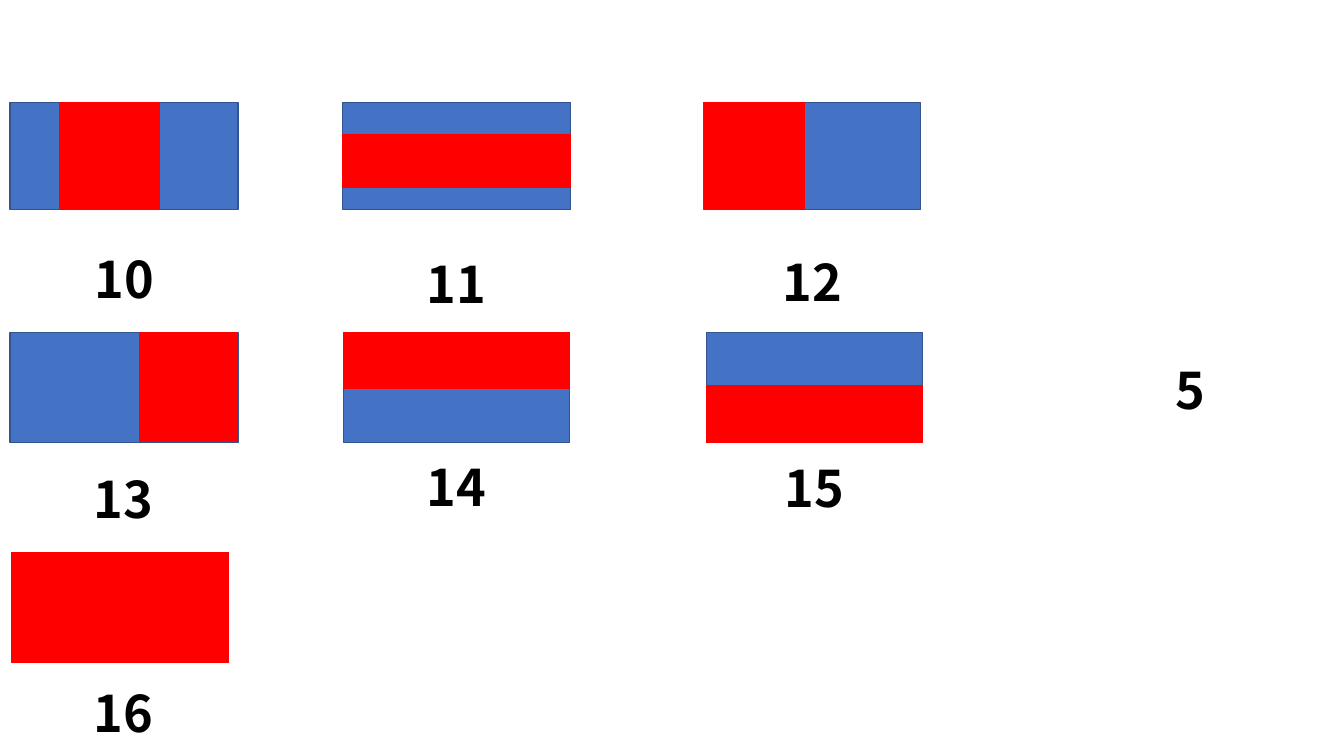
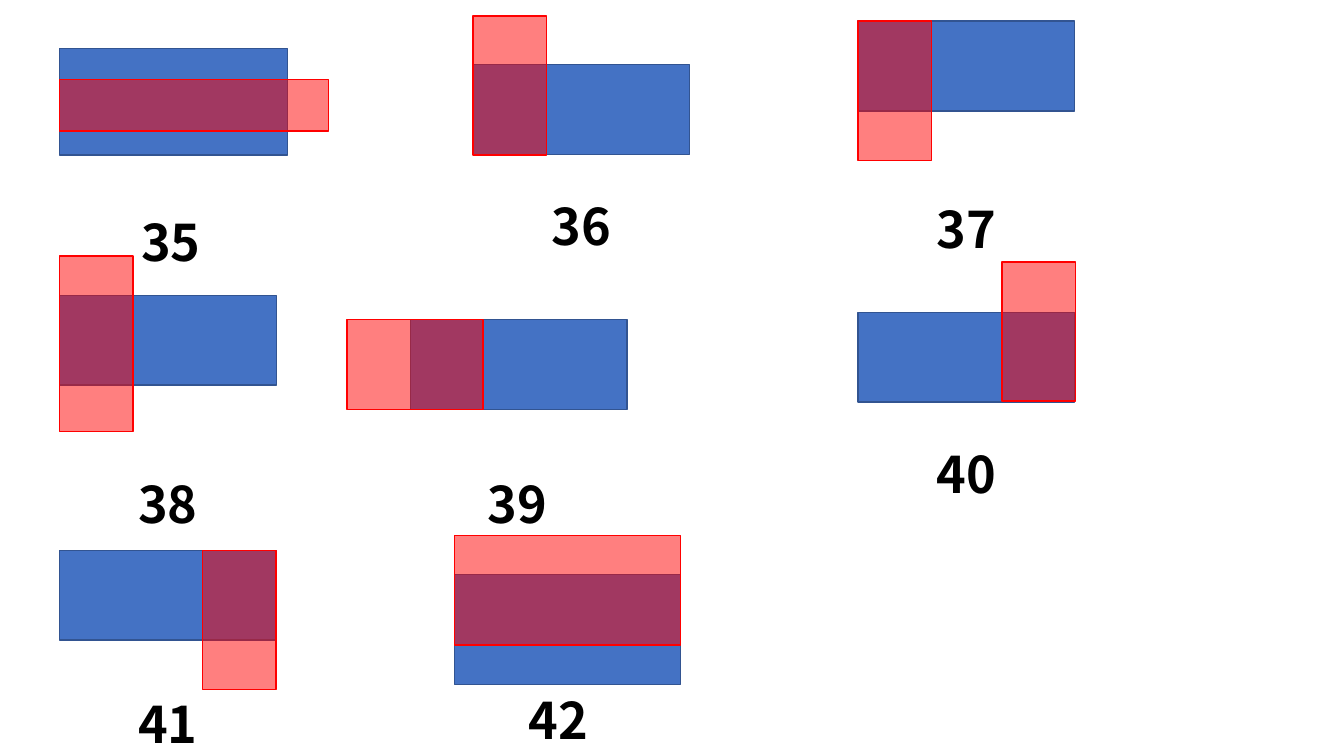
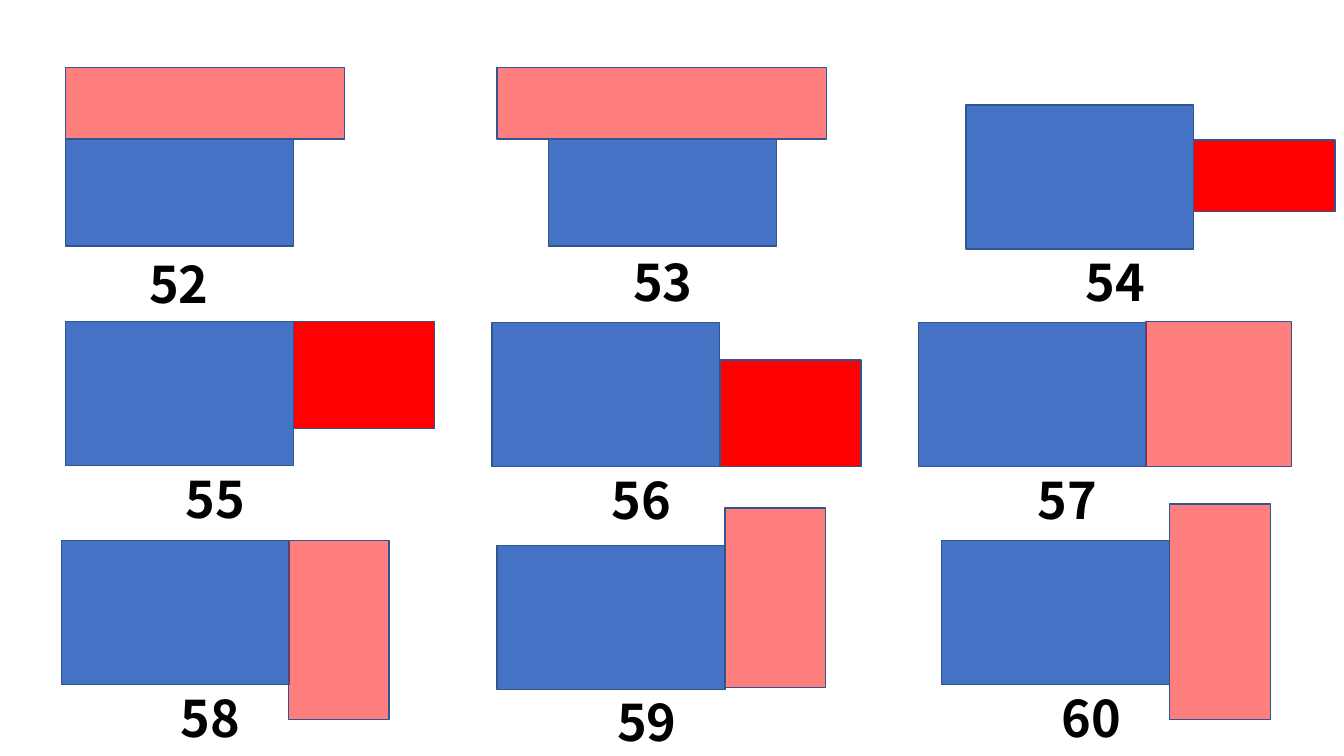
import pptx
import pptx.dml.color
import pptx.enum.shapes
import pptx.enum.text
import pptx.oxml.ns
import pptx.util
import lxml.etree

FONT = "Noto Sans CJK SC"
BLUE, NAVY, RED, BLACK = "4472C4", "325491", "FF0000", "000000"
SOLID, HALF = 100, 50
LABEL_SIZE = (0.97, 0.71)

presentation = pptx.Presentation()
presentation.slide_width = pptx.util.Inches(13.33)
presentation.slide_height = pptx.util.Inches(7.5)
hex_colour = pptx.dml.color.RGBColor.from_string


def add_block(slide, left, top, size, fill, line, opacity=SOLID):
    """Add a filled rectangle; opacity is a percentage."""
    shape = slide.shapes.add_shape(
        pptx.enum.shapes.MSO_SHAPE.RECTANGLE,
        *(pptx.util.Inches(length) for length in (left, top, *size)))
    shape.shadow.inherit = False
    shape.fill.solid()
    shape.fill.fore_color.rgb = hex_colour(fill)
    shape.line.color.rgb = hex_colour(line)
    shape.line.width = pptx.util.Pt(1)
    if opacity < SOLID:
        tag = pptx.oxml.ns.qn("a:srgbClr")
        fill_colour = next(shape.fill._xPr.iter(tag))
        alpha = lxml.etree.SubElement(fill_colour, pptx.oxml.ns.qn("a:alpha"))
        alpha.set("val", str(opacity * 1000))


def add_label(slide, left, top, number):
    """Add a bold centred number."""
    box = slide.shapes.add_textbox(
        *(pptx.util.Inches(length) for length in (left, top, *LABEL_SIZE)))
    frame = box.text_frame
    frame.word_wrap = True
    frame.auto_size = pptx.enum.text.MSO_AUTO_SIZE.SHAPE_TO_FIT_TEXT
    paragraph = frame.paragraphs[0]
    paragraph.alignment = pptx.enum.text.PP_ALIGN.CENTER
    run = paragraph.add_run()
    run.text = str(number)
    run.font.name = FONT
    run.font.size = pptx.util.Pt(36)
    run.font.bold = True
    run.font.color.rgb = hex_colour(BLACK)


# Each figure: nudge from its grid point, blue size, then, measured from the
# blue corner, red offset, red size, red opacity and label offset.
STRIP, CARD, SLAB, BRICK, TALL = (
    (2.26, 1.06), (2.14, 1.09), (2.24, 1.09), (2.15, 0.89), (2.26, 1.43))
POST = (0.73, 1.38)

inside = [
    ((0, 0), STRIP, (0.49, 0), (0.99, 1.06), SOLID, (0.65, 1.39)),
    ((0, 0), STRIP, (0, 0.32), (2.26, 0.52), SOLID, (0.64, 1.44)),
    ((-0.02, 0), (2.15, 1.06), (0.01, 0), (0.99, 1.06), SOLID, (0.59, 1.42)),
    ((0, 0), (2.26, 1.09), (1.29, 0), (0.96, 1.08), SOLID, (0.64, 1.29)),
    ((0.01, 0), SLAB, (0, 0), (2.24, 0.55), SOLID, (0.63, 1.18)),
    ((0.01, 0), CARD, (0, 0.53), (2.14, 0.56), SOLID, (0.58, 1.19)),
    ((0.02, 0), CARD, (0, 0), CARD, SOLID, (0.62, 1.24)),
]
overlapping = [
    ((0, 0), STRIP, (0, 0.31), (2.67, 0.51), HALF, (0.62, 1.56)),
    ((0, 0.16), BRICK, (0, -0.48), POST, HALF, (0.59, 1.25)),
    ((0, -0.27), BRICK, (0, 0), POST, HALF, (0.59, 1.71)),
    ((0, 0), BRICK, (0, -0.39), (0.73, 1.74), HALF, (0.59, 1.71)),
    ((-0.62, 0.24), BRICK, (-0.63, 0), (1.35, 0.89), HALF, (0.58, 1.47)),
    ((0, 0.17), BRICK, (1.43, -0.5), POST, HALF, (0.59, 1.25)),
    ((0, 0), BRICK, (1.42, 0), POST, HALF, (0.59, 1.37)),
    ((-0.18, 0.24), SLAB, (0, -0.39), SLAB, HALF, (0.54, 1.09)),
]
touching = [
    ((0, 0), STRIP, (0, -0.71), (2.77, 0.71), HALF, (0.64, 1.08)),
    ((0.51, 0), STRIP, (-0.51, -0.71), (3.27, 0.71), HALF, (0.65, 1.06)),
    ((0.24, -0.34), TALL, (2.26, 0.35), (1.4, 0.71), SOLID, (1, 1.4)),
    ((0, 0), TALL, (2.26, 0), (1.4, 1.06), SOLID, (1, 1.4)),
    ((-0.05, 0.01), TALL, (2.26, 0.37), (1.4, 1.06), SOLID, (1, 1.4)),
    ((-0.23, 0.01), TALL, (2.25, -0.01), (1.45, 1.44), HALF, (0.99, 1.4)),
    ((-0.04, 0), TALL, (2.25, 0), (1, 1.78), HALF, (0.99, 1.41)),
    ((0, 0.05), TALL, (2.26, -0.37), (1, 1.78), HALF, (1, 1.4)),
    ((0, 0), TALL, (2.26, -0.36), (1, 2.14), HALF, (1, 1.41)),
]

# Each slide: first number, grid columns, grid rows, red outline, figures.
slides = [
    (10, (0.1, 3.4, 7), (1.02, 3.3, 5.48), RED, inside),
    (35, (0.59, 4.69, 8.51), (0.48, 2.93, 5.46), RED, overlapping),
    (52, (0.65, 4.93, 9.34), (1.38, 3.19, 5.36), NAVY, touching),
]

for first, columns, rows, outline, figures in slides:
    slide = presentation.slides.add_slide(presentation.slide_layouts[6])
    for index, figure in enumerate(figures):
        nudge, blue_size, red_offset, red_size, opacity, label_offset = figure
        row, column = divmod(index, len(columns))
        left = columns[column] + nudge[0]
        top = rows[row] + nudge[1]
        add_block(slide, left, top, blue_size, BLUE, NAVY)
        add_block(slide, left + red_offset[0], top + red_offset[1],
                  red_size, RED, outline, opacity)
        add_label(slide, left + label_offset[0], top + label_offset[1],
                  first + index)

add_label(presentation.slides[0], 11.32, 3.51, 5)

presentation.save("out.pptx")
